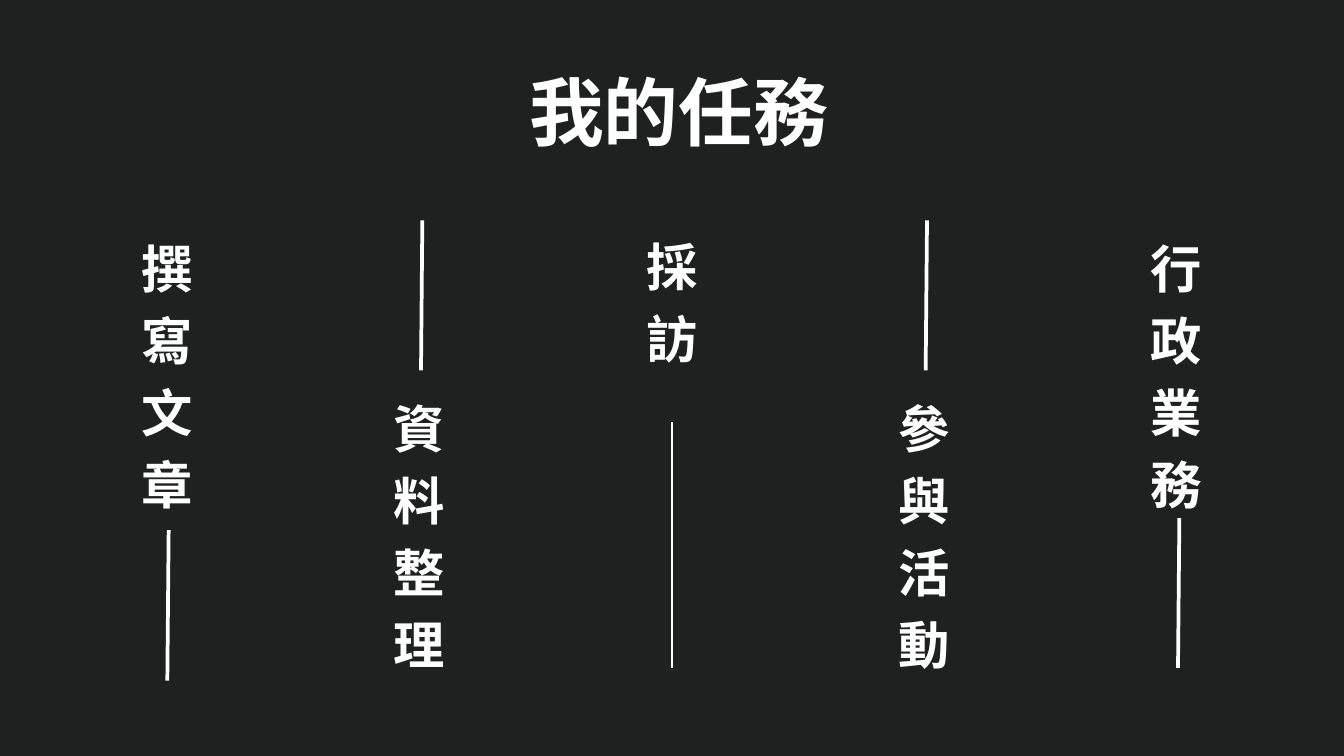
import pptx
import pptx.dml.color
import pptx.enum.shapes
import pptx.enum.text
import pptx.oxml.ns
import pptx.util
from lxml import etree

Inches = pptx.util.Inches
Pt = pptx.util.Pt

COLORS = {"background": "1F2020", "ink": "FFFFFF"}
FONT = "Open Sans"
COLUMN_WIDTH = 1.06
COLUMN_PITCH = 3.755
FIRST_LEFT = 1.96

# label, text top, text height, line top, line bottom, line offset, slant, weight
TASKS = [
    ("撰寫文章", 3.38, 4.18, 7.89, 10.13, 0, 0.02, 4),
    ("資料整理", 5.76, 4.18, 3.28, 5.51, 0.02, 0.02, 4),
    ("採訪", 3.35, 2.09, 6.28, 9.94, 0, 0, 3),
    ("參與活動", 5.76, 4.18, 3.28, 5.51, 0.02, 0.02, 4),
    ("行政業務", 3.38, 4.18, 7.71, 9.94, 0.02, 0.02, 4),
]


def rgb(name):
    return pptx.dml.color.RGBColor.from_string(COLORS[name])


def write_text(sp, text, size, spacing):
    tf = sp.text_frame
    tf.word_wrap = True
    tf.auto_size = pptx.enum.text.MSO_AUTO_SIZE.NONE
    tf.vertical_anchor = pptx.enum.text.MSO_ANCHOR.TOP
    tf.margin_left = tf.margin_right = tf.margin_top = tf.margin_bottom = 0
    p = tf.paragraphs[0]
    p.alignment = pptx.enum.text.PP_ALIGN.CENTER
    p.line_spacing = Pt(spacing)
    r = p.add_run()
    r.text = text
    r.font.name = FONT
    r.font.size = Pt(size)
    r.font.bold = True
    r.font.color.rgb = rgb("ink")
    ea = etree.SubElement(r.font._element, pptx.oxml.ns.qn("a:ea"))
    ea.set("typeface", FONT)


def add_title(slide, left, top, width, height):
    sp = slide.shapes.title
    sp.left, sp.top = Inches(left), Inches(top)
    sp.width, sp.height = Inches(width), Inches(height)
    write_text(sp, "我的任務", 80, 112)


def add_task(shapes, left, task):
    label, top, height, line_top, line_bottom, offset, slant, weight = task
    sp = shapes.add_textbox(Inches(left), Inches(top), Inches(COLUMN_WIDTH), Inches(height))
    write_text(sp, label, 55, 77)

    x = left + COLUMN_WIDTH / 2 + offset
    line = shapes.add_connector(
        pptx.enum.shapes.MSO_CONNECTOR.STRAIGHT,
        Inches(x + slant), Inches(line_top), Inches(x), Inches(line_bottom))
    line.line.color.rgb = rgb("ink")
    line.line.width = Pt(weight)
    etree.SubElement(line._element.spPr, pptx.oxml.ns.qn("a:effectLst"))


def main():
    prs = pptx.Presentation()
    prs.slide_width, prs.slide_height = Inches(20), Inches(11.25)
    slide = prs.slides.add_slide(prs.slide_layouts.get_by_name("Title Only"))
    slide.background.fill.solid()
    slide.background.fill.fore_color.rgb = rgb("background")

    add_title(slide, 7.78, 0.75, 4.64, 1.49)
    for i, task in enumerate(TASKS):
        group = slide.shapes.add_group_shape()
        add_task(group.shapes, FIRST_LEFT + i * COLUMN_PITCH, task)

    prs.save("out.pptx")


if __name__ == "__main__":
    main()
